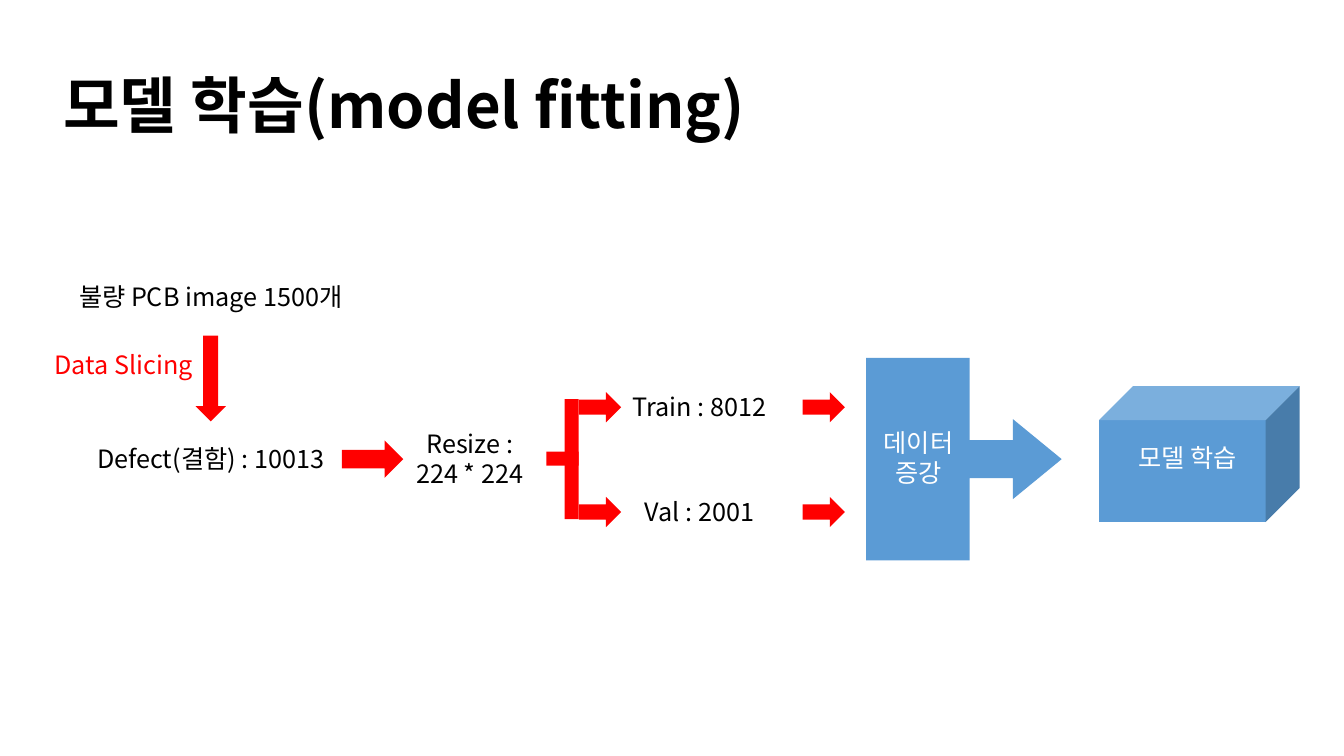
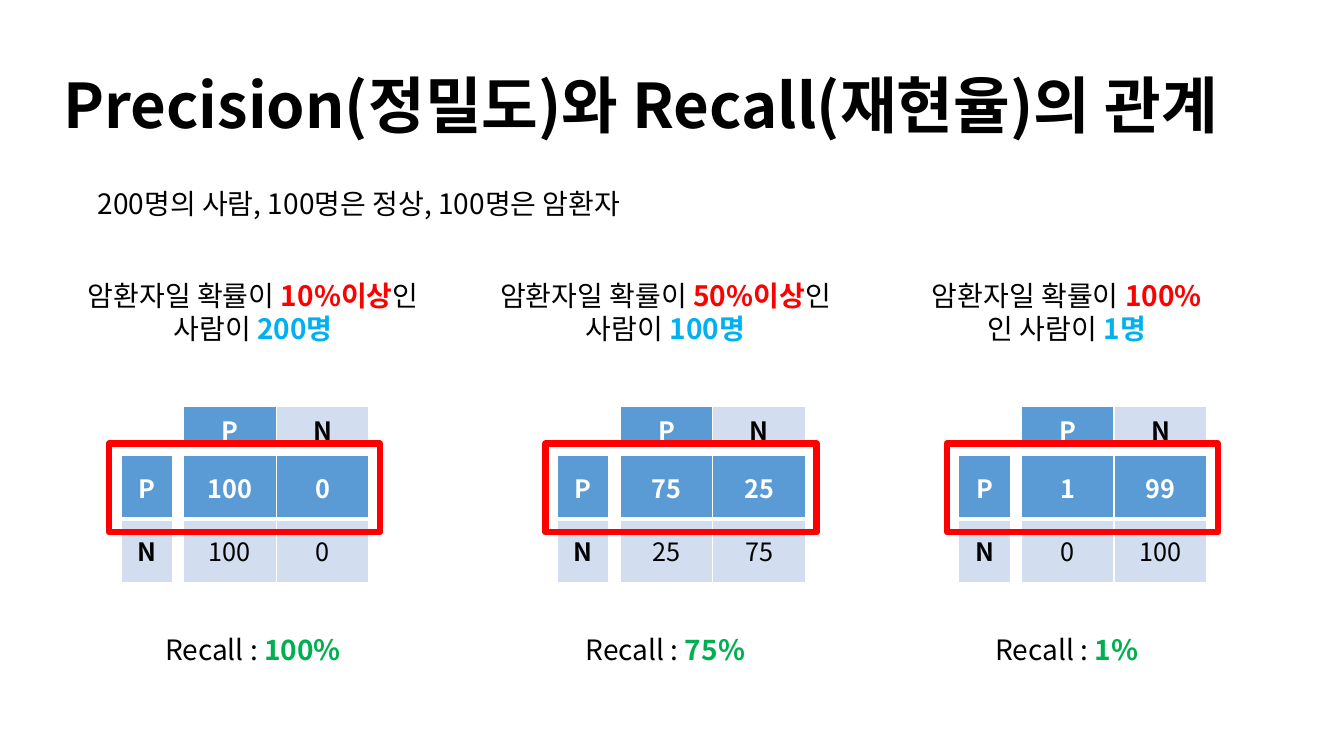
from lxml.etree import SubElement
from pptx import Presentation
from pptx.dml.color import RGBColor
from pptx.enum.shapes import MSO_SHAPE
from pptx.enum.text import MSO_ANCHOR, PP_ALIGN
from pptx.oxml.ns import qn
from pptx.util import Inches, Pt

FONT = "Noto Sans CJK KR"
BLACK, WHITE, RED = "000000", "FFFFFF", "FF0000"
BLUE, PALE, SKY, GREEN = "5B9BD5", "D2DEEF", "00B0F0", "00B050"


def color(value):
    return RGBColor.from_string(value)


def add_span(para, text, size, ink=BLACK, bold=False):
    span = para.add_run()
    span.text = text
    span.font.size = Pt(size)
    span.font.bold = bold
    span.font.color.rgb = color(ink)
    span.font.name = FONT
    SubElement(span.font._element, qn("a:ea"), typeface=FONT)


def add_text(page, left, top, width, height, lines, size=18,
             align=PP_ALIGN.CENTER, anchor=MSO_ANCHOR.TOP, spacing=None):
    box = page.shapes.add_textbox(Inches(left), Inches(top), Inches(width), Inches(height))
    frame = box.text_frame
    frame.word_wrap = True
    frame.vertical_anchor = anchor
    for index, spans in enumerate(lines):
        para = frame.add_paragraph() if index else frame.paragraphs[0]
        para.alignment = align
        if spacing:
            para.line_spacing = spacing
        for span in spans:
            add_span(para, span[0], size, *span[1:])


def add_block(page, kind, left, top, width, height, fill=None, line=None, adjustments=()):
    shape = page.shapes.add_shape(kind, Inches(left), Inches(top), Inches(width), Inches(height))
    shape.shadow.inherit = False
    if fill:
        shape.fill.solid()
        shape.fill.fore_color.rgb = color(fill)
    else:
        shape.fill.background()
    if line:
        shape.line.color.rgb = color(line)
        shape.line.width = Pt(4.5)
    else:
        shape.line.fill.background()
    for index, value in enumerate(adjustments):
        shape.adjustments[index] = value


def add_page(deck, title, width):
    page = deck.slides.add_slide(deck.slide_layouts[6])
    add_text(page, 0.53, 0.35, width, 1.45, [[(title, BLACK, True)]], 44,
             PP_ALIGN.LEFT, MSO_ANCHOR.MIDDLE, 0.9)
    return page


def add_borders(cell, bottom):
    properties = cell._tc.get_or_add_tcPr()
    for side, points in (("L", 1), ("R", 1), ("T", 1), ("B", bottom)):
        border = SubElement(properties, qn(f"a:ln{side}"), w=str(Pt(points)))
        fill = SubElement(border, qn("a:solidFill"))
        SubElement(fill, qn("a:srgbClr"), val=WHITE)


def add_grid(page, left, top, column_width, row_height, rows):
    count = len(rows[0])
    table = page.shapes.add_table(
        len(rows), count, Inches(left), Inches(top),
        Inches(column_width * count), Inches(row_height * len(rows))).table
    table.first_row = table.horz_banding = False
    for column in table.columns:
        column.width = Inches(column_width)
    for row_index, row in enumerate(rows):
        table.rows[row_index].height = Inches(row_height)
        for column_index, (text, fill, ink, bold) in enumerate(row):
            cell = table.cell(row_index, column_index)
            add_borders(cell, 1 if row_index else 3)
            cell.fill.solid()
            cell.fill.fore_color.rgb = color(fill)
            cell.vertical_anchor = MSO_ANCHOR.MIDDLE
            para = cell.text_frame.paragraphs[0]
            para.alignment = PP_ALIGN.CENTER
            add_span(para, text, 18, ink, bold)


def add_preparation(page, left, top):
    add_text(page, left, top, 3.3, 0.4, [[("불량 PCB image 1500개",)]])
    add_text(page, left, top + 0.68, 2.42, 0.4, [[("Data Slicing", RED)]], align=PP_ALIGN.LEFT)
    add_block(page, MSO_SHAPE.DOWN_ARROW, left + 1.5, top + 0.59, 0.3, 0.85, RED)
    add_text(page, left + 0.3, top + 1.61, 2.7, 0.4, [[("Defect(결함) : 10013",)]])
    add_block(page, MSO_SHAPE.RIGHT_ARROW, left + 2.95, top + 1.63, 0.61, 0.37, RED)
    add_text(page, left + 2.87, top + 1.46, 2.7, 0.71, [[("Resize :",)], [("224 * 224",)]])


def add_split(page, left, top):
    add_block(page, MSO_SHAPE.RECTANGLE, left + 0.18, top + 0.13, 0.14, 1.19, RED)
    add_block(page, MSO_SHAPE.RECTANGLE, left, top + 0.65, 0.32, 0.14, RED)
    for row, label in enumerate(("Train : 8012", "Val : 2001")):
        row_top = top + 1.04 * row
        add_text(page, left - 0.13, row_top, 3.3, 0.4, [[(label,)]])
        for offset in (0.32, 2.54):
            add_block(page, MSO_SHAPE.RIGHT_ARROW, left + offset, row_top + 0.06, 0.42, 0.3, RED)


def add_training(page, left, top):
    add_block(page, MSO_SHAPE.RIGHT_ARROW_CALLOUT, left, top, 1.94, 2.01, BLUE,
              adjustments=(0.195, 0.205, 0.25, 0.53))
    add_text(page, left - 0.36, top + 0.64, 1.76, 0.71,
             [[("데이터", WHITE)], [("증강", WHITE)]])
    add_block(page, MSO_SHAPE.CUBE, left + 2.31, top + 0.28, 1.99, 1.35, BLUE)
    add_text(page, left + 2.31, top + 0.79, 1.76, 0.4, [[("모델 학습", WHITE)]])


def add_confusion(page, left, top, hits, misses):
    head = [("P", BLUE, WHITE, True), ("N", PALE, BLACK, True)]
    values = [[(text, BLUE, WHITE, True) for text in hits],
              [(text, PALE, BLACK, False) for text in misses]]
    add_grid(page, left + 0.62, top + 0.49, 0.92, 0.63, values)
    add_grid(page, left + 0.62, top, 0.92, 0.41, [head])
    add_grid(page, left, top + 0.49, 0.51, 0.63, [[cell] for cell in head])
    add_block(page, MSO_SHAPE.RECTANGLE, left - 0.12, top + 0.37, 2.69, 0.88, line=RED)


def add_case(page, center, left, condition, recall, hits, misses):
    add_text(page, center - 1.76, 2.71, 3.52, 0.77, condition, 20)
    add_confusion(page, left, 4.03, hits, misses)
    add_text(page, center - 1.43, 6.23, 2.86, 0.44,
             [[("Recall : ",), (recall, GREEN, True)]], 20)


def build_fitting(deck):
    page = add_page(deck, "모델 학습(model fitting)", 11.5)
    add_preparation(page, 0.44, 2.74)
    add_split(page, 5.42, 3.83)
    add_training(page, 8.59, 3.55)


def build_recall(deck):
    page = add_page(deck, "Precision(정밀도)와 Recall(재현율)의 관계", 11.97)
    add_text(page, 0.87, 1.8, 10.59, 0.44,
             [[("200명의 사람, 100명은 정상, 100명은 암환자",)]], 20, PP_ALIGN.LEFT)

    def condition(limit, people):
        return [("암환자일 확률이 ",), (limit, RED, True)], [("인 사람이 ",), (people, SKY, True)]

    def joined(limit, people):
        first, second = condition(limit, people)
        return [first + second]

    cases = (
        (2.51, 1.2, joined("10%이상", "200명"), "100%", ("100", "0"), ("100", "0")),
        (6.6, 5.53, joined("50%이상", "100명"), "75%", ("75", "25"), ("25", "75")),
        (10.58, 9.51, condition("100%", "1명"), "1%", ("1", "99"), ("0", "100")),
    )
    for case in cases:
        add_case(page, *case)


def main():
    deck = Presentation()
    deck.slide_width, deck.slide_height = Inches(13.33), Inches(7.5)
    build_fitting(deck)
    build_recall(deck)
    deck.save("out.pptx")


if __name__ == "__main__":
    main()
